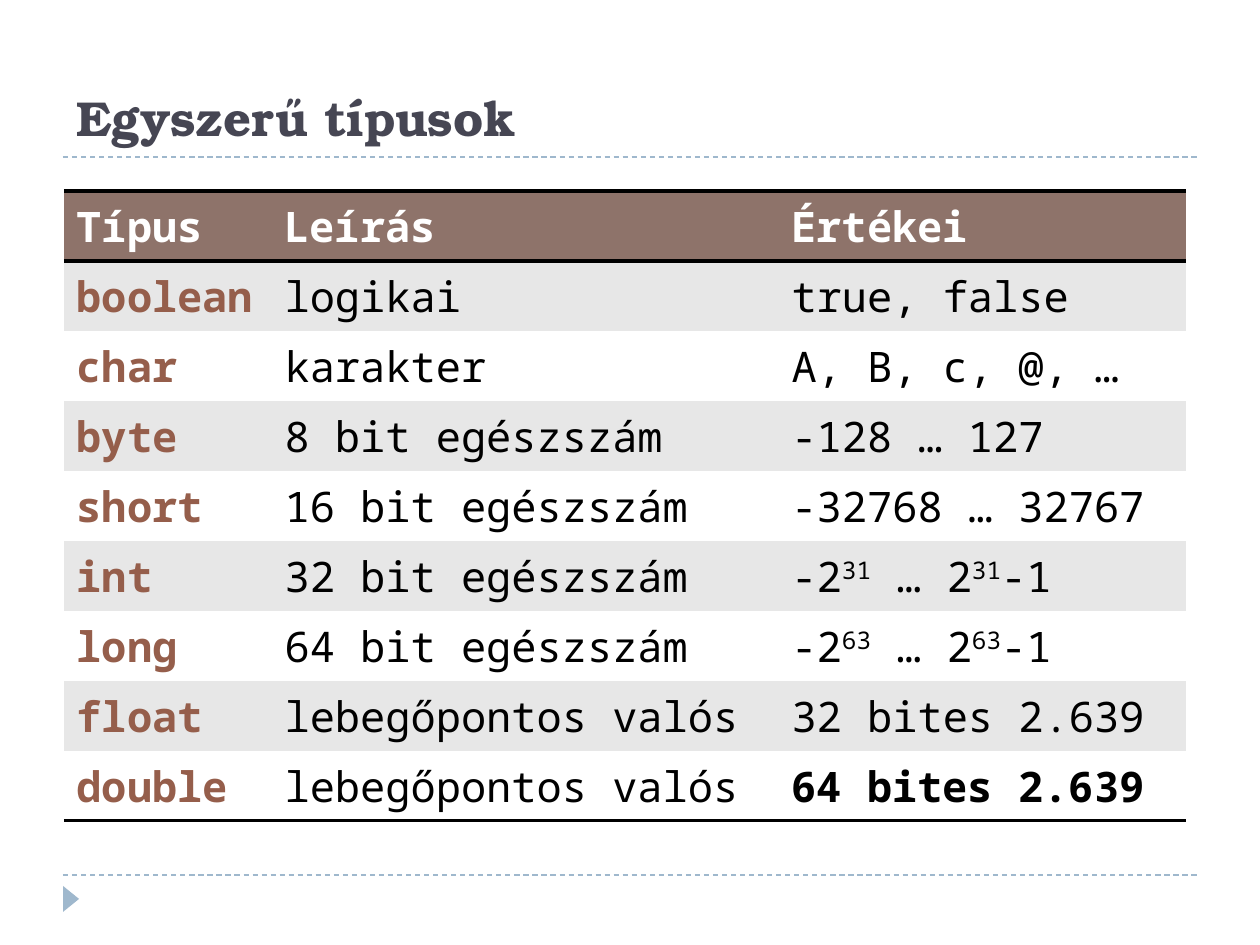
from dataclasses import dataclass

from pptx import Presentation
from pptx import util as u
from pptx.dml.color import RGBColor
from pptx.enum import dml, shapes, text
from pptx.oxml import parse_xml
from pptx.oxml.ns import nsdecls, qn


@dataclass(frozen=True)
class Theme:
    title_font: str = "TeX Gyre Bonum"
    table_font: str = "Noto Sans Mono"
    title_size: int = 28
    table_size: int = 24
    title: str = "464653"
    accent: str = "9FB8CD"
    header: str = "8E736A"
    keyword: str = "955E4B"
    band: str = "E7E7E7"
    white: str = "FFFFFF"
    black: str = "000000"


T = Theme()
SCALE = 914400 // 126
NO_STYLE = "{2D5ABB26-0587-4C30-8999-92F81FD0307C}"
COLUMNS = (208, 507, 407)
ROWS = (
    ("Típus", "Leírás", "Értékei"),
    ("boolean", "logikai", "true, false"),
    ("char", "karakter", "A, B, c, @, …"),
    ("byte", "8 bit egészszám", "-128 … 127"),
    ("short", "16 bit egészszám", "-32768 … 32767"),
    ("int", "32 bit egészszám", "-2^31^ … 2^31^-1"),
    ("long", "64 bit egészszám", "-2^63^ … 2^63^-1"),
    ("float", "lebegőpontos valós", "32 bites 2.639"),
    ("double", "lebegőpontos valós", "64 bites 2.639"),
)


def px(n):
    return u.Emu(n * SCALE)


def rgb(value):
    return RGBColor.from_string(value)


def write(tf, content, font, size, color, bold=False):
    p = tf.paragraphs[0]
    p.alignment = text.PP_ALIGN.LEFT
    for i, part in enumerate(content.split("^")):
        r = p.add_run()
        r.text = part
        r.font.name = font
        r.font.size = u.Pt(size)
        r.font.bold = bold
        r.font.color.rgb = rgb(color)
        if i % 2:
            r.font._element.set("baseline", "30000")


def add_title(s, x, y, w, h):
    sp = s.shapes.title
    sp.left, sp.top, sp.width, sp.height = map(px, (x, y, w, h))
    tf = sp.text_frame
    tf.word_wrap = True
    tf.auto_size = text.MSO_AUTO_SIZE.NONE
    tf.vertical_anchor = text.MSO_ANCHOR.BOTTOM
    write(tf, "Egyszerű típusok", T.title_font, T.title_size, T.title, bold=True)


def add_rule(s, x, y, w):
    c = s.shapes.add_connector(
        shapes.MSO_CONNECTOR.STRAIGHT, px(x), px(y), px(x + w), px(y))
    c.line.color.rgb = rgb(T.accent)
    c.line.width = u.Pt(0.75)
    c.line.dash_style = dml.MSO_LINE.DASH
    c._element.spPr.append(parse_xml(f"<a:effectLst {nsdecls('a')}/>"))


def add_footer(s, x, y, w):
    add_rule(s, x, y, w)
    sp = s.shapes.add_shape(
        shapes.MSO_SHAPE.ISOSCELES_TRIANGLE, px(x - 5), px(y + 16), px(26), px(16))
    sp.rotation = 90
    sp.shadow.inherit = False
    sp.fill.solid()
    sp.fill.fore_color.rgb = rgb(T.accent)
    sp.line.fill.background()


def add_border(cell, side):
    cell._tc.get_or_add_tcPr().append(parse_xml(
        f'<a:ln{side} {nsdecls("a")} w="{u.Pt(2)}"><a:solidFill>'
        f'<a:srgbClr val="{T.black}"/></a:solidFill></a:ln{side}>'))


def add_types(s, x, y, row_height):
    table = s.shapes.add_table(
        len(ROWS), len(COLUMNS), px(x), px(y),
        px(sum(COLUMNS)), px(row_height * len(ROWS))).table
    table._tbl.tblPr.find(qn("a:tableStyleId")).text = NO_STYLE
    table.horz_banding = False
    for column, width in zip(table.columns, COLUMNS):
        column.width = px(width)
    last = len(ROWS) - 1
    for i, row in enumerate(ROWS):
        table.rows[i].height = px(row_height)
        for j, content in enumerate(row):
            cell = table.cell(i, j)
            if i == 0:
                add_border(cell, "T")
            if i in (0, last):
                add_border(cell, "B")
            fill = T.header if i == 0 else T.band if i % 2 else T.white
            color = T.white if i == 0 else T.black if j else T.keyword
            cell.fill.solid()
            cell.fill.fore_color.rgb = rgb(fill)
            bold = i == 0 or j == 0 or (i, j) == (last, 2)
            write(cell.text_frame, content, T.table_font, T.table_size, color, bold)


def build_slide(prs):
    s = prs.slides.add_slide(prs.slide_layouts[5])
    add_footer(s, 63, 875, 1134)
    add_rule(s, 63, 157, 1134)
    add_title(s, 64, 84, 1134, 69)
    add_types(s, 64, 191, 70)


prs = Presentation()
prs.slide_width, prs.slide_height = px(1260), px(945)
build_slide(prs)
prs.save("out.pptx")
